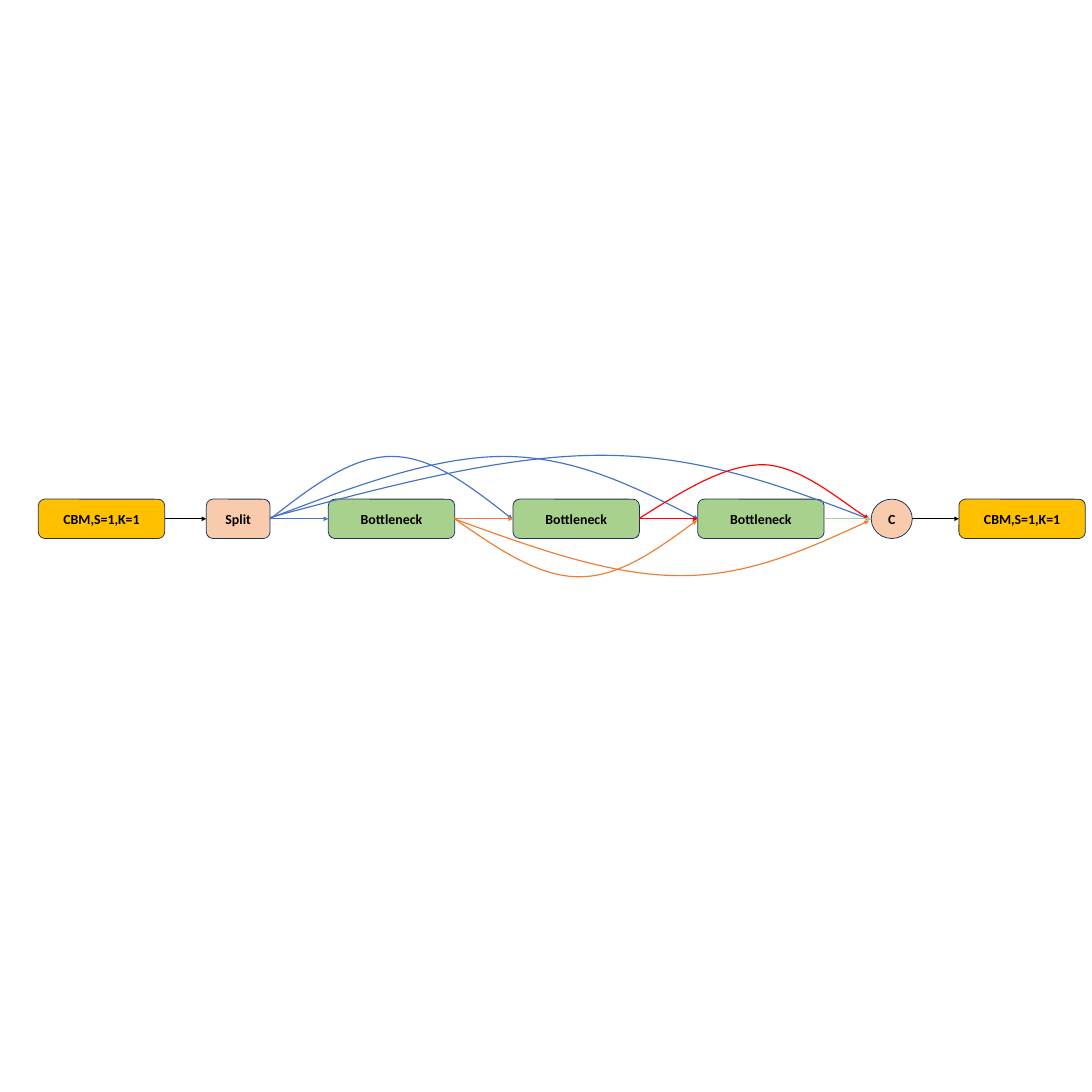
"""Draw a split-and-concatenate bottleneck block with its dense skip links."""
import itertools
from dataclasses import dataclass

import lxml.etree
import pptx
import pptx.dml.color
import pptx.enum.shapes
import pptx.enum.text
import pptx.oxml.ns
import pptx.util

Inches = pptx.util.Inches
Pt = pptx.util.Pt
RGBColor = pptx.dml.color.RGBColor
Preset = pptx.enum.shapes.MSO_SHAPE
qn = pptx.oxml.ns.qn

BLACK = RGBColor(0x00, 0x00, 0x00)
OUTLINE = RGBColor(0x1E, 0x32, 0x56)
AMBER = RGBColor(0xFF, 0xC0, 0x00)
PEACH = RGBColor(0xF8, 0xCB, 0xAD)
GREEN = RGBColor(0xA9, 0xD1, 0x8E)
BLUE = RGBColor(0x44, 0x72, 0xC4)
ORANGE = RGBColor(0xED, 0x7D, 0x31)
RED = RGBColor(0xFF, 0x00, 0x00)

SLIDE_SIDE = 19.69
ROW_TOP = 9
ROW_HEIGHT = 0.71
WIDE = 2.28
Point = tuple[float, float]


@dataclass(frozen=True)
class Stage:
    label: str
    left: float
    width: float
    fill: RGBColor
    preset: Preset = Preset.ROUNDED_RECTANGLE


@dataclass(frozen=True)
class Link:
    color: RGBColor
    weight: float = 1.5


@dataclass(frozen=True)
class SkipLink:
    color: RGBColor
    start: Point
    curve: tuple[Point, ...]


STAGES = [
    Stage("CBM,S=1,K=1", 0.69, WIDE, AMBER),
    Stage("Split", 3.72, 1.15, PEACH),
    *(Stage("Bottleneck", 5.92 + 3.33 * index, WIDE, GREEN) for index in range(3)),
    Stage("C", 15.71, 0.74, PEACH, Preset.OVAL),
    Stage("CBM,S=1,K=1", 17.29, WIDE, AMBER),
]
LINKS = [Link(BLACK, 1), Link(BLUE), Link(ORANGE), Link(RED), Link(GREEN), Link(BLACK, 1)]
SKIP_LINKS = [
    SkipLink(BLUE, (4.87, 9.36), ((5.6, 8.79), (6.33, 8.23), (7.06, 8.23),
                                  (7.79, 8.23), (8.51, 8.79), (9.24, 9.36))),
    SkipLink(BLUE, (4.88, 9.34), ((6.35, 8.78), (7.81, 8.23), (9.1, 8.23),
                                  (10.38, 8.24), (11.49, 8.8), (12.59, 9.36))),
    SkipLink(BLUE, (4.87, 9.33), ((6.97, 8.77), (9.08, 8.2), (10.88, 8.21),
                                  (12.69, 8.22), (14.19, 8.8), (15.7, 9.37))),
    SkipLink(ORANGE, (8.19, 9.35), ((8.95, 9.88), (9.7, 10.4), (10.43, 10.4),
                                    (11.16, 10.41), (11.86, 9.9), (12.57, 9.38))),
    SkipLink(ORANGE, (8.2, 9.36), ((9.6, 9.87), (11, 10.38), (12.25, 10.38),
                                   (13.49, 10.39), (14.58, 9.89), (15.67, 9.39))),
    SkipLink(RED, (11.54, 9.34), ((12.3, 8.86), (13.06, 8.38), (13.75, 8.38),
                                  (14.44, 8.38), (15.33, 9.18), (15.67, 9.35))),
]


def add_stage(page, stage: Stage):
    box = page.shapes.add_shape(stage.preset, Inches(stage.left), Inches(ROW_TOP),
                                Inches(stage.width), Inches(ROW_HEIGHT))
    box.shadow.inherit = False
    box.fill.solid()
    box.fill.fore_color.rgb = stage.fill
    box.line.color.rgb = OUTLINE
    box.line.width = Pt(1)
    box.text_frame.vertical_anchor = pptx.enum.text.MSO_ANCHOR.MIDDLE
    para = box.text_frame.paragraphs[0]
    para.text = stage.label
    para.alignment = pptx.enum.text.PP_ALIGN.CENTER
    para.font.name = "Calibri"
    para.font.size = Pt(18)
    para.font.bold = True
    para.font.color.rgb = BLACK
    return box


def style_arrow(arrow, color: RGBColor, weight: float) -> None:
    arrow.line.color.rgb = color
    arrow.line.width = Pt(weight)
    lxml.etree.SubElement(arrow.get_or_add_ln(), qn("a:tailEnd"), type="triangle")


def add_link(page, link: Link, source, target) -> None:
    middle = source.top + source.height // 2
    connector = page.shapes.add_connector(
        pptx.enum.shapes.MSO_CONNECTOR.STRAIGHT,
        source.left + source.width, middle, target.left, middle)
    if source.auto_shape_type == Preset.ROUNDED_RECTANGLE:
        connector.begin_connect(source, 3)
    if target.auto_shape_type == Preset.ROUNDED_RECTANGLE:
        connector.end_connect(target, 1)
    style_arrow(connector, link.color, link.weight)
    lxml.etree.SubElement(connector.element.spPr, qn("a:effectLst"))


def add_skip_link(page, skip: SkipLink) -> None:
    builder = page.shapes.build_freeform(Inches(skip.start[0]), Inches(skip.start[1]))
    builder.add_line_segments([(Inches(x), Inches(y)) for x, y in skip.curve], close=False)
    arc = builder.convert_to_shape()
    outline = next(arc.element.iter(qn("a:path")))
    segments = outline.findall(qn("a:lnTo"))
    for first in range(0, len(segments), 3):
        bezier = lxml.etree.SubElement(outline, qn("a:cubicBezTo"))
        for segment in segments[first:first + 3]:
            bezier.append(segment[0])
            outline.remove(segment)
    arc.shadow.inherit = False
    arc.fill.background()
    style_arrow(arc, skip.color, 1.5)


def main() -> None:
    deck = pptx.Presentation()
    deck.slide_width = deck.slide_height = Inches(SLIDE_SIDE)
    page = deck.slides.add_slide(deck.slide_layouts[6])
    boxes = [add_stage(page, stage) for stage in STAGES]
    for skip in SKIP_LINKS:
        add_skip_link(page, skip)
    for link, (source, target) in zip(LINKS, itertools.pairwise(boxes)):
        add_link(page, link, source, target)
    deck.save("out.pptx")


if __name__ == "__main__":
    main()
